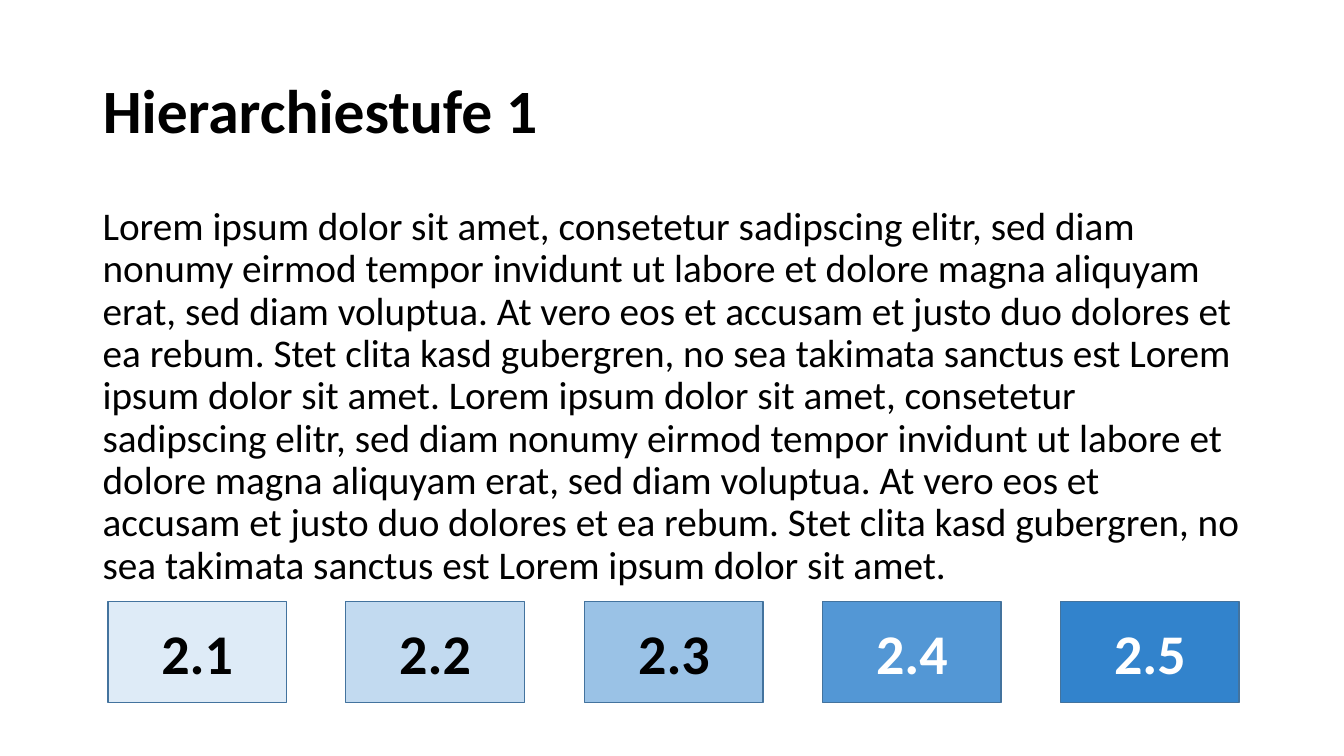
from pptx import Presentation
from pptx.dml.color import RGBColor
from pptx.enum.shapes import MSO_SHAPE
from pptx.enum.text import MSO_ANCHOR, MSO_AUTO_SIZE, PP_ALIGN
from pptx.util import Pt

PX = 9144  # 100 px to the inch


def color(hex_text):
    return RGBColor.from_string(hex_text)


def write(shape, text, size, ink="000000", bold=False, align=PP_ALIGN.LEFT,
          anchor=MSO_ANCHOR.MIDDLE, line_spacing=1.0, space_before=0):
    frame = shape.text_frame
    frame.word_wrap = True
    frame.auto_size = MSO_AUTO_SIZE.NONE
    frame.vertical_anchor = anchor
    para = frame.paragraphs[0]
    para.alignment = align
    para.line_spacing = line_spacing
    para.space_before = Pt(space_before)
    span = para.add_run()
    span.text = text
    span.font.name = "Calibri"
    span.font.size = Pt(size)
    span.font.bold = bold
    span.font.color.rgb = color(ink)


deck = Presentation()
deck.slide_width, deck.slide_height = 1333 * PX, 750 * PX
page = deck.slides.add_slide(deck.slide_layouts[5])

# Title
title = page.shapes.title
title.left, title.top, title.width, title.height = 92 * PX, 40 * PX, 1150 * PX, 145 * PX
write(title, "Hierarchiestufe 1", size=44, bold=True, line_spacing=0.9)

# Body: the same passage twice
passage = (
    "Lorem ipsum dolor sit amet, consetetur sadipscing elitr, sed diam nonumy "
    "eirmod tempor invidunt ut labore et dolore magna aliquyam erat, sed diam "
    "voluptua. At vero eos et accusam et justo duo dolores et ea rebum. Stet "
    "clita kasd gubergren, no sea takimata sanctus est Lorem ipsum dolor sit amet."
)
body = page.shapes.add_textbox(92 * PX, 200 * PX, 1150 * PX, 476 * PX)
write(body, " ".join([passage] * 2), size=28, anchor=MSO_ANCHOR.TOP,
      line_spacing=0.9, space_before=10)

# Row of numbered boxes, from light to dark
LEFT, RIGHT, BOX_WIDTH = 107, 1229, 177
levels = [
    ("DEEBF7", "000000"),
    ("C2DAF0", "000000"),
    ("9AC2E6", "000000"),
    ("5397D5", "FFFFFF"),
    ("3283CC", "FFFFFF"),
]
step = (RIGHT - LEFT - BOX_WIDTH) / (len(levels) - 1)
for index, (fill, ink) in enumerate(levels):
    left = round(LEFT + index * step)
    box = page.shapes.add_shape(MSO_SHAPE.RECTANGLE, left * PX, 597 * PX,
                                BOX_WIDTH * PX, 100 * PX)
    box.shadow.inherit = False
    box.fill.solid()
    box.fill.fore_color.rgb = color(fill)
    box.line.color.rgb = color("43739E")
    box.line.width = Pt(1)
    write(box, f"2.{index + 1}", size=40, ink=ink, bold=True, align=PP_ALIGN.CENTER)

deck.save("out.pptx")
